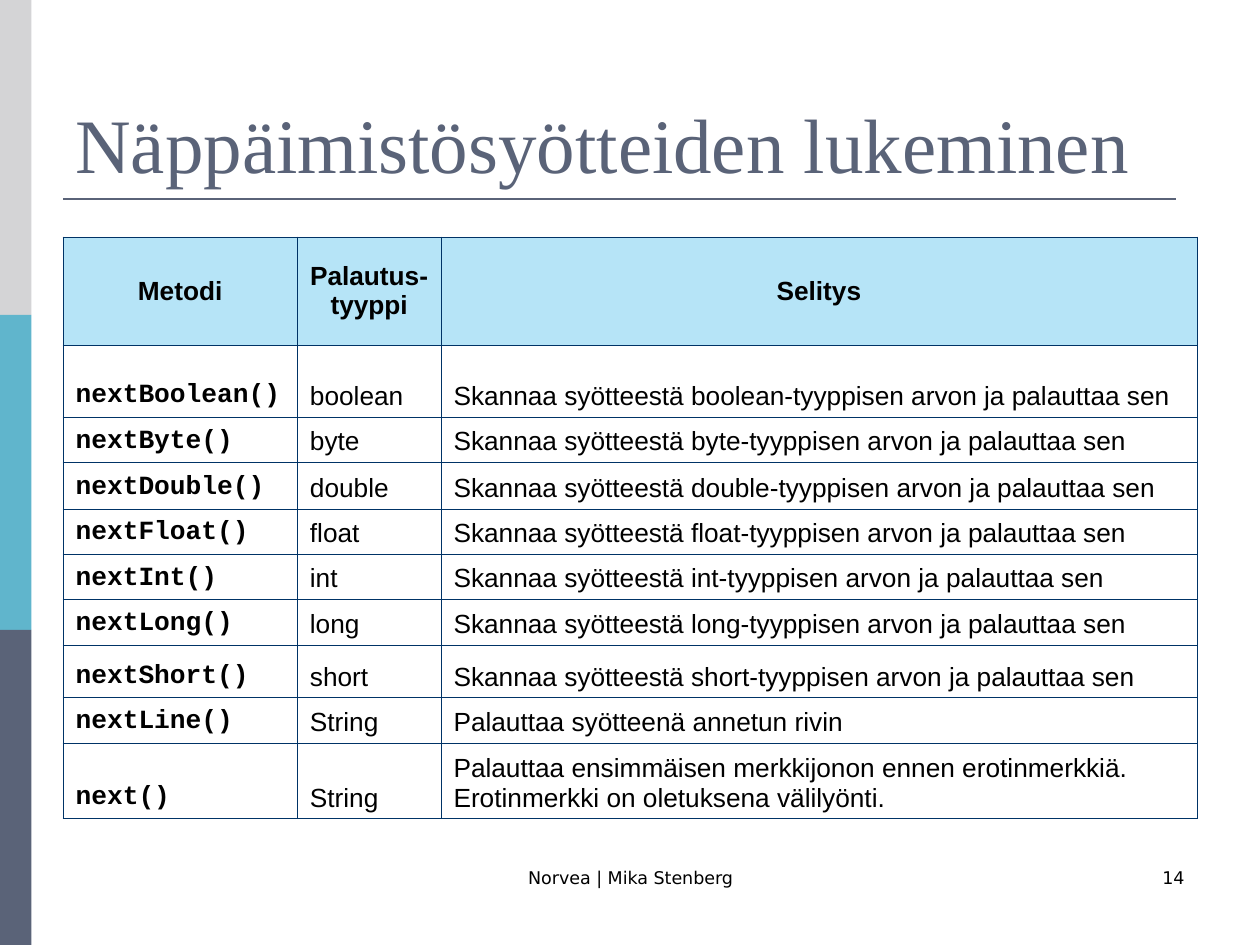
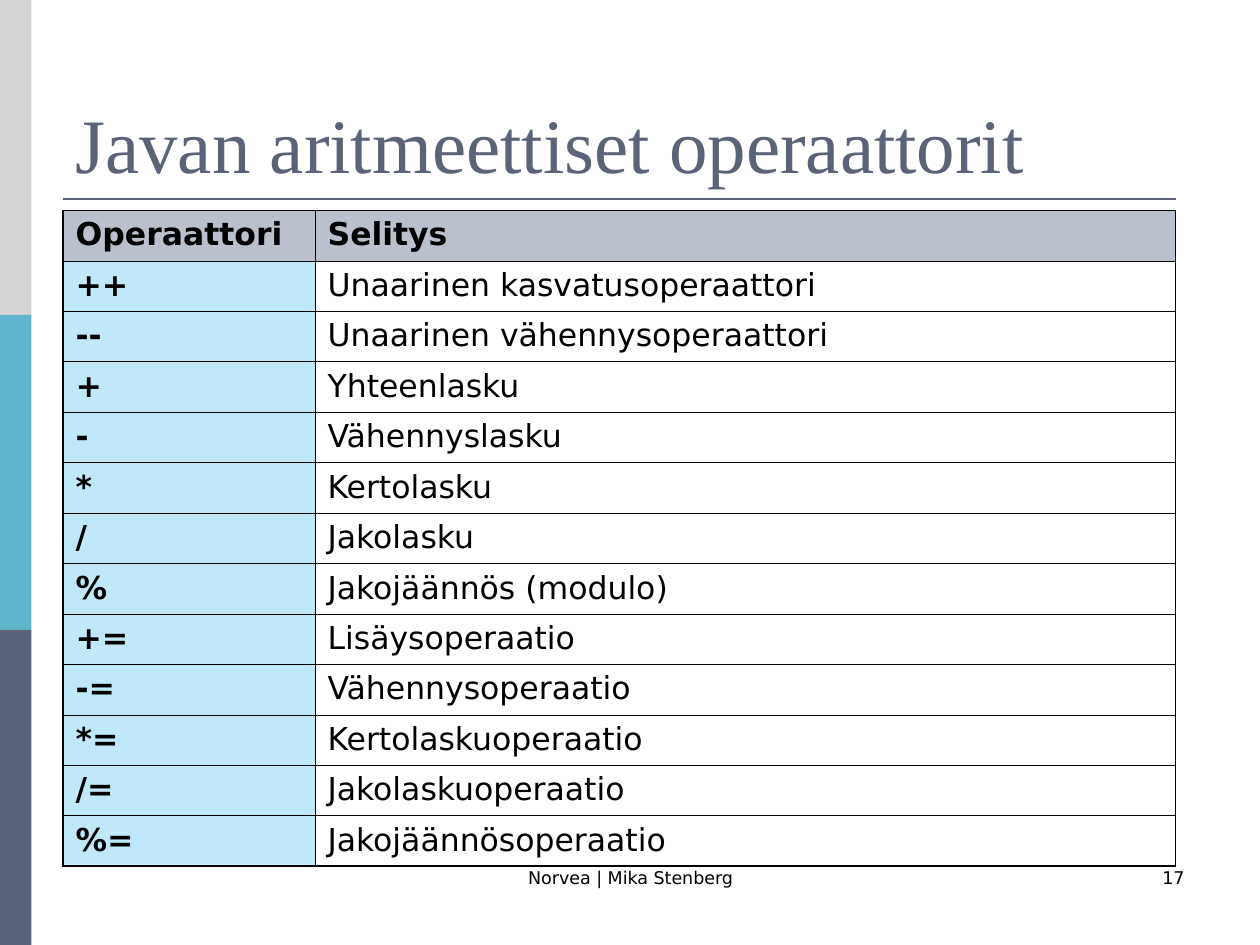
"""Two slides on Java: keyboard input methods and arithmetic operators."""
from lxml.etree import SubElement
from pptx import Presentation
from pptx.dml.color import RGBColor
from pptx.enum.shapes import MSO_CONNECTOR, MSO_SHAPE
from pptx.enum.text import MSO_ANCHOR, PP_ALIGN
from pptx.oxml.ns import qn
from pptx.util import Inches, Pt

GREY = RGBColor(0xD4, 0xD4, 0xD6)
TEAL = RGBColor(0x60, 0xB5, 0xCC)
SLATE = RGBColor(0x5A, 0x63, 0x78)
BLACK = RGBColor(0, 0, 0)
NAVY = RGBColor(0x00, 0x33, 0x66)
SKY = RGBColor(0xB6, 0xE4, 0xF7)
PALE_SKY = RGBColor(0xBF, 0xE8, 0xF8)
SILVER = RGBColor(0xBA, 0xC0, 0xCC)

SERIF, SANS, BODY, CODE = "Times New Roman", "DejaVu Sans", "Arial", "Courier New"
FOOTER = "Norvea | Mika Stenberg"
THIN, THICK = 0.45, 1.08

TYPES = ["boolean", "byte", "double", "float", "int", "long", "short"]
METHODS = [
    ("Metodi", "Palautus-tyyppi", "Selitys"),
    *((f"next{t.capitalize()}()", t,
       f"Skannaa syötteestä {t}-tyyppisen arvon ja palauttaa sen") for t in TYPES),
    ("nextLine()", "String", "Palauttaa syötteenä annetun rivin"),
    ("next()", "String", "Palauttaa ensimmäisen merkkijonon ennen erotinmerkkiä. "
                         "Erotinmerkki on oletuksena välilyönti."),
]
OPERATORS = [
    ("Operaattori", "Selitys"),
    ("++", "Unaarinen kasvatusoperaattori"),
    ("--", "Unaarinen vähennysoperaattori"),
    ("+", "Yhteenlasku"),
    ("-", "Vähennyslasku"),
    ("*", "Kertolasku"),
    ("/", "Jakolasku"),
    ("%", "Jakojäännös (modulo)"),
    ("+=", "Lisäysoperaatio"),
    ("-=", "Vähennysoperaatio"),
    ("*=", "Kertolaskuoperaatio"),
    ("/=", "Jakolaskuoperaatio"),
    ("%=", "Jakojäännösoperaatio"),
]


class Deck:
    """Holds the shared style and the current slide."""

    def __init__(self):
        self.prs = Presentation()
        self.prs.slide_width, self.prs.slide_height = Inches(10), Inches(7.5)
        self.s = None

    def slide(self, title, number):
        self.s = self.prs.slides.add_slide(self.prs.slide_layouts[6])
        for i, color in enumerate((GREY, TEAL, SLATE)):
            self.band(2.5 * i, color)
        self.rule(0.5, 9.33, 1.58)
        self.text(title, 0.5, 0.3, 9, 1.25, 44, SERIF, SLATE, anchor=MSO_ANCHOR.BOTTOM)
        self.text(FOOTER, 3.42, 6.83, 3.17, 0.5, align=PP_ALIGN.CENTER)
        self.text(str(number), 7.17, 6.83, 2.33, 0.5, align=PP_ALIGN.RIGHT)

    def band(self, top, color):
        sp = self.s.shapes.add_shape(
            MSO_SHAPE.RECTANGLE, 0, Inches(top), Inches(0.25), Inches(2.5))
        sp.shadow.inherit = False
        sp.fill.solid()
        sp.fill.fore_color.rgb = color
        sp.line.fill.background()

    def rule(self, left, right, y):
        line = self.s.shapes.add_connector(
            MSO_CONNECTOR.STRAIGHT, Inches(left), Inches(y), Inches(right), Inches(y))
        line.line.color.rgb = SLATE
        line.line.width = Pt(1.5)
        SubElement(line._element.spPr, qn("a:effectLst"))

    def run(self, p, text, size, font, color=BLACK, bold=False):
        r = p.add_run()
        r.text = text
        r.font.size, r.font.name, r.font.bold = Pt(size), font, bold
        r.font.color.rgb = color

    def text(self, text, x, y, w, h, size=10, font=SANS, color=BLACK,
             align=PP_ALIGN.LEFT, anchor=MSO_ANCHOR.TOP):
        sp = self.s.shapes.add_textbox(Inches(x), Inches(y), Inches(w), Inches(h))
        tf = sp.text_frame
        tf.word_wrap = True
        tf.vertical_anchor = anchor
        p = tf.paragraphs[0]
        p.alignment = align
        self.run(p, text, size, font, color)

    def table(self, x, y, widths, heights):
        shape = self.s.shapes.add_table(
            len(heights), len(widths), Inches(x), Inches(y),
            Inches(sum(widths)), Inches(sum(heights)))
        table = shape.table
        table.first_row = table.horz_banding = False
        for column, width in zip(table.columns, widths):
            column.width = Inches(width)
        for row, height in zip(table.rows, heights):
            row.height = Inches(height)
        return table

    def cell(self, cell, text, size, font, bold, fill, borders, line_color,
             align=PP_ALIGN.LEFT, anchor=MSO_ANCHOR.TOP, before=0):
        tcPr = cell._tc.get_or_add_tcPr()
        for side, width in zip("LRTB", borders):
            ln = SubElement(tcPr, qn(f"a:ln{side}"), w=str(Pt(width)))
            solid = SubElement(ln, qn("a:solidFill"))
            SubElement(solid, qn("a:srgbClr"), val=str(line_color))
        if fill is None:
            cell.fill.background()
        else:
            cell.fill.solid()
            cell.fill.fore_color.rgb = fill
        cell.vertical_anchor = anchor
        p = cell.text_frame.paragraphs[0]
        p.alignment = align
        p.space_before = Pt(before)
        self.run(p, text, size, font, bold=bold)


def input_methods(deck):
    deck.slide("Näppäimistösyötteiden lukeminen", 14)
    heights = [0.86, 0.57, 0.36, 0.37, 0.36, 0.36, 0.36, 0.42, 0.36, 0.6]
    table = deck.table(0.5, 1.88, [1.86, 1.14, 6], heights)
    for i, row in enumerate(METHODS):
        head = i == 0
        for j, text in enumerate(row):
            deck.cell(table.cell(i, j), text, 15,
                      CODE if j == 0 and not head else BODY,
                      head or j == 0, SKY if head else None, [THIN] * 4, NAVY,
                      PP_ALIGN.CENTER if head else PP_ALIGN.LEFT,
                      MSO_ANCHOR.MIDDLE if head else MSO_ANCHOR.BOTTOM)


def arithmetic_operators(deck):
    deck.slide("Javan aritmeettiset operaattorit", 17)
    table = deck.table(0.5, 1.67, [2, 6.83], [0.4] * len(OPERATORS))
    last = len(OPERATORS) - 1
    for i, row in enumerate(OPERATORS):
        for j, text in enumerate(row):
            fill = SILVER if i == 0 else PALE_SKY if j == 0 else None
            outer = (j == 0, j == 1, i == 0, i == last)
            borders = [THICK if edge else THIN for edge in outer]
            deck.cell(table.cell(i, j), text, 18, SANS, i == 0 or j == 0,
                      fill, borders, BLACK, before=4.5)


def main():
    deck = Deck()
    input_methods(deck)
    arithmetic_operators(deck)
    deck.prs.save("out.pptx")


if __name__ == "__main__":
    main()
